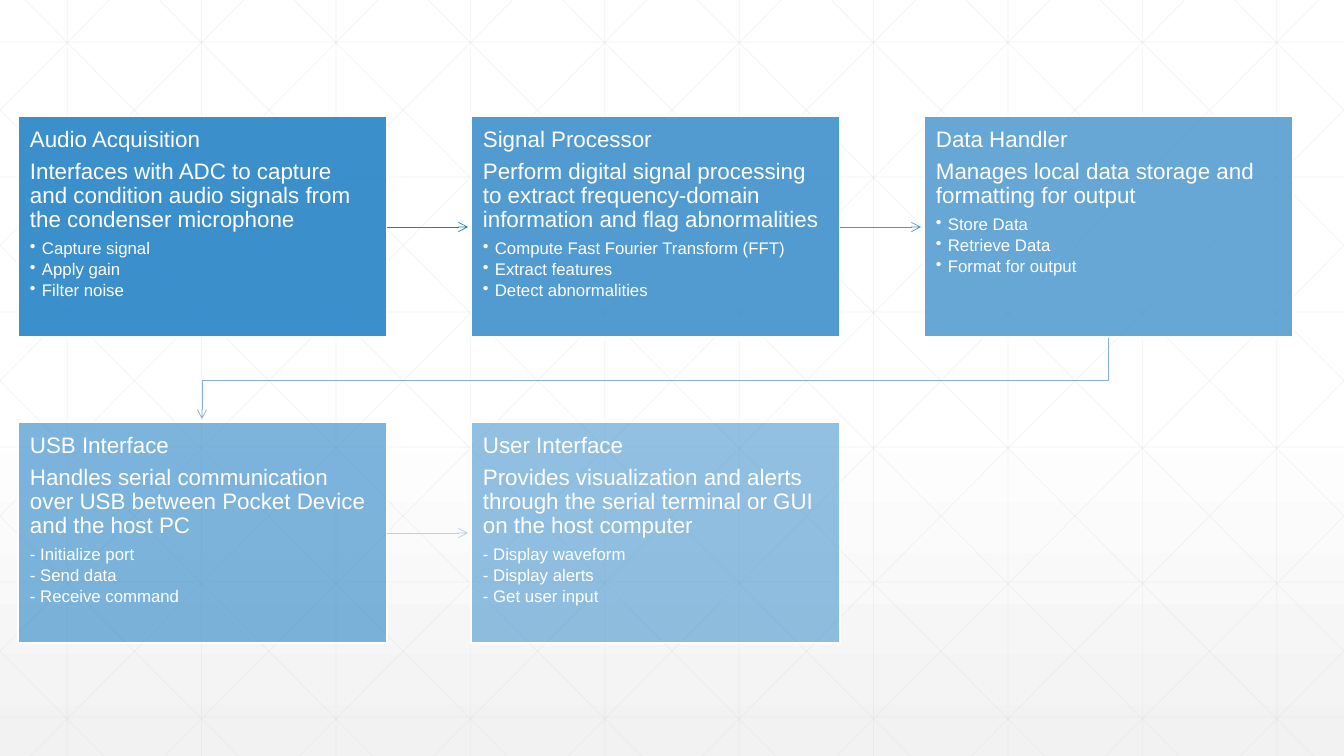
import copy

import pptx
import pptx.dml.color
import pptx.enum.shapes
import pptx.enum.text
import pptx.oxml.ns
import pptx.util
from lxml import etree

WIDTH, HEIGHT = 1344, 756
EMU_PER_PX = 914400 / 100.8
COLORS = {"white": "FFFFFF", "fade": "F2F2F2", "grid": "D9D9D9", "box": "2683C6",
          "arrow 1": "247DBD", "arrow 2": "4F94D2", "arrow 3": "89AFD9", "arrow 4": "BECEE5"}
BOX_W, BOX_H, INSET = 369, 221, 12
LEFT, TOP, COLUMN_STEP, ROW_STEP = 18, 116, 453, 306

BLOCKS = [
    ("Audio Acquisition",
     "Interfaces with ADC to capture and condition audio signals from the condenser microphone",
     "•", ["Capture signal", "Apply gain", "Filter noise"]),
    ("Signal Processor",
     "Perform digital signal processing to extract frequency-domain information "
     "and flag abnormalities",
     "•", ["Compute Fast Fourier Transform (FFT)", "Extract features", "Detect abnormalities"]),
    ("Data Handler",
     "Manages local data storage and formatting for output",
     "•", ["Store Data", "Retrieve Data", "Format for output"]),
    ("USB Interface",
     "Handles serial communication over USB between Pocket Device and the host PC",
     None, ["- Initialize port", "- Send data", "- Receive command"]),
    ("User Interface",
     "Provides visualization and alerts through the serial terminal or GUI on the host computer",
     None, ["- Display waveform", "- Display alerts", "- Get user input"]),
]


def px(length):
    return pptx.util.Emu(round(length * EMU_PER_PX))


def rgb(name):
    return pptx.dml.color.RGBColor.from_string(COLORS[name])


def add_xml(parent, tag, **attributes):
    return etree.SubElement(parent, pptx.oxml.ns.qn(tag), attributes)


def set_opacity(holder, percent):
    color = next(holder.iter(pptx.oxml.ns.qn("a:srgbClr")))
    add_xml(color, "a:alpha", val=str(percent * 1000))


def write(para, text, size=16, after=5.6, bullet=None):
    para.line_spacing = 0.9
    para.space_after = pptx.util.Pt(after)
    para.alignment = pptx.enum.text.PP_ALIGN.LEFT
    span = para.add_run()
    span.text = text
    span.font.size = pptx.util.Pt(size)
    span.font.name = "Arial"
    span.font.color.rgb = rgb("white")
    if bullet:
        properties = para._p.get_or_add_pPr()
        properties.set("marL", str(px(INSET)))
        properties.set("indent", str(-px(INSET)))
        add_xml(properties, "a:buChar", char=bullet)


class Page:
    def __init__(self, deck):
        self.page = deck.slides.add_slide(deck.slide_layouts[6])
        self.shapes = self.page.shapes

    def background(self):
        fill = self.page.background.fill
        fill.gradient()
        fill.gradient_angle = 270
        first, last = fill.gradient_stops
        first.color.rgb = rgb("white")
        last.color.rgb = rgb("fade")
        stops = next(self.page.element.iter(pptx.oxml.ns.qn("a:gsLst")))
        middle = copy.deepcopy(stops[0])
        middle.set("pos", "53000")
        stops.insert(1, middle)

    def stroke(self, shape, color, arrow=False):
        shape.line.color.rgb = rgb(color)
        shape.line.width = pptx.util.Pt(0.5)
        if arrow:
            add_xml(shape.line._get_or_add_ln(), "a:tailEnd", type="arrow")

    def line(self, x1, y1, x2, y2, color, arrow=False, opacity=None):
        line = self.shapes.add_connector(pptx.enum.shapes.MSO_CONNECTOR.STRAIGHT,
                                         px(x1), px(y1), px(x2), px(y2))
        self.stroke(line, color, arrow)
        if opacity:
            set_opacity(line.line._get_or_add_ln(), opacity)
        add_xml(line._element.spPr, "a:effectLst")

    def bent_arrow(self, points, color):
        start, *rest = points
        builder = self.shapes.build_freeform(*start, scale=EMU_PER_PX)
        builder.add_line_segments(rest, close=False)
        bend = builder.convert_to_shape()
        bend.shadow.inherit = False
        bend.fill.background()
        self.stroke(bend, color, arrow=True)

    def block(self, left, top, opacity, title, summary, bullet, tasks):
        box = self.shapes.add_shape(pptx.enum.shapes.MSO_SHAPE.RECTANGLE,
                                    px(left), px(top), px(BOX_W), px(BOX_H))
        box.shadow.inherit = False
        box.fill.solid()
        box.fill.fore_color.rgb = rgb("box")
        set_opacity(box._element.spPr, opacity)
        box.line.color.rgb = rgb("white")
        box.line.width = pptx.util.Pt(1)
        frame = box.text_frame
        frame.word_wrap = True
        frame.vertical_anchor = pptx.enum.text.MSO_ANCHOR.TOP
        frame.margin_left = frame.margin_right = px(INSET)
        frame.margin_top = frame.margin_bottom = px(INSET)
        write(frame.paragraphs[0], title)
        write(frame.add_paragraph(), summary)
        for task in tasks:
            write(frame.add_paragraph(), task, size=12, after=2, bullet=bullet)


def draw_grid(page):
    style = {"color": "grid", "opacity": 30}
    for column in range(10):
        x = 67.2 + 134.4 * column
        page.line(x, 0, x, HEIGHT, **style)
    for row in range(6):
        y = 42 + 135 * row
        page.line(0, y, WIDTH, y, **style)
    # Diagonals, clipped at the sides and mirrored
    run = 751
    for step in range(-5, 10):
        start = 25 + 134.4 * step
        x1, x2 = max(start, 0), min(start + run, WIDTH)
        y1, y2 = [(x - start) * HEIGHT / run for x in (x1, x2)]
        page.line(x1, y1, x2, y2, **style)
        page.line(WIDTH - x1, y1, WIDTH - x2, y2, **style)


def main():
    deck = pptx.Presentation()
    deck.slide_width, deck.slide_height = px(WIDTH), px(HEIGHT)
    page = Page(deck)

    # Backdrop
    page.background()
    draw_grid(page)

    # Processing blocks, paler at each step
    for index, content in enumerate(BLOCKS):
        row, column = divmod(index, 3)
        page.block(LEFT + COLUMN_STEP * column, TOP + ROW_STEP * row, 90 - 10 * index, *content)

    # Arrows between the blocks
    for row, column, color in [(0, 0, "arrow 1"), (0, 1, "arrow 2"), (1, 0, "arrow 4")]:
        x = LEFT + BOX_W + COLUMN_STEP * column
        y = TOP + BOX_H // 2 + 1 + ROW_STEP * row
        page.line(x, y, x + 81, y, color, arrow=True)
    bottom, middle = TOP + BOX_H + 1, 380
    page.bent_arrow([(1108, bottom), (1108, middle), (202, middle), (202, 419)], "arrow 3")

    deck.save("out.pptx")


if __name__ == "__main__":
    main()
